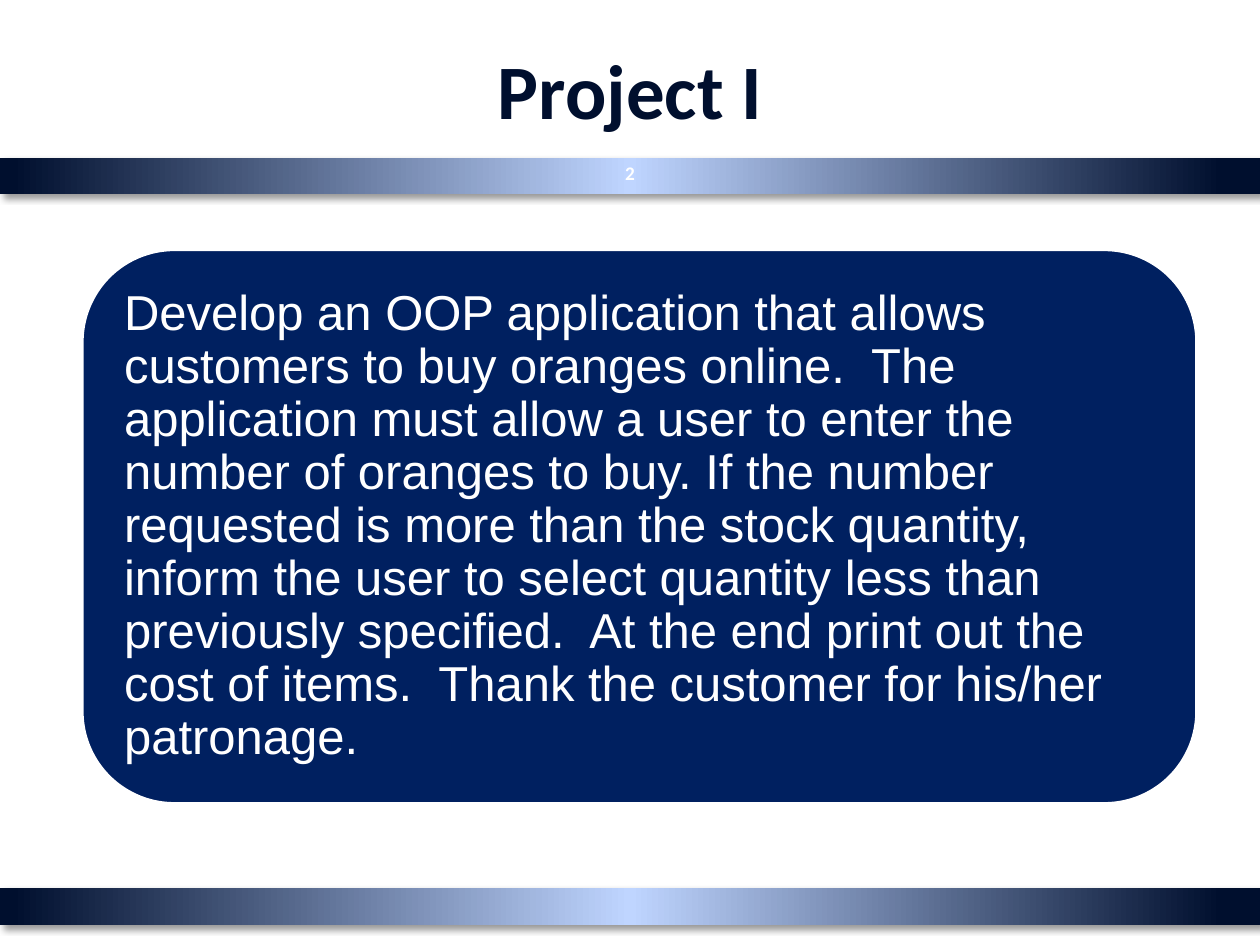
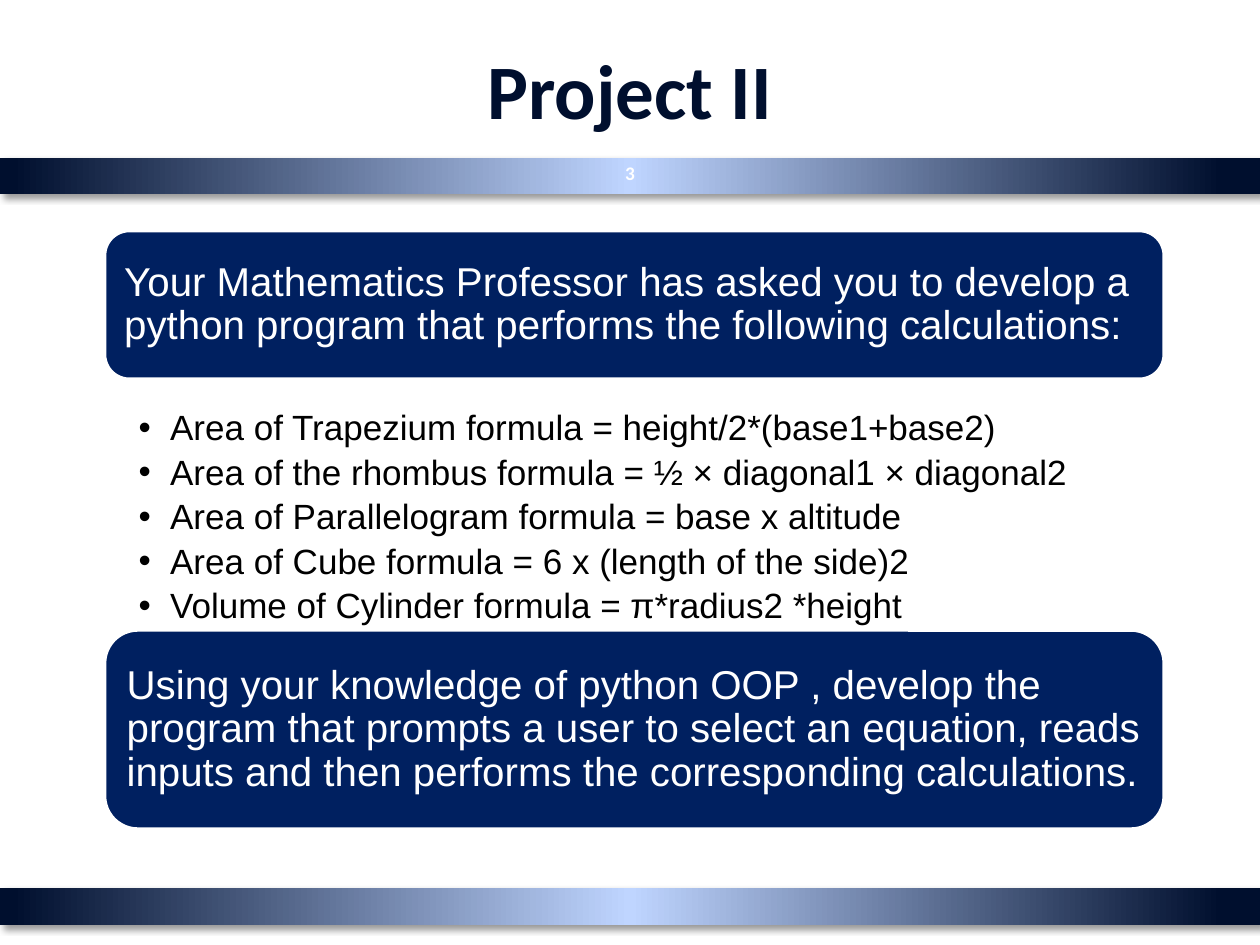
from lxml import etree
from pptx import Presentation
from pptx.dml.color import RGBColor
from pptx.enum.shapes import MSO_SHAPE
from pptx.enum.text import MSO_ANCHOR, PP_ALIGN
from pptx.oxml import parse_xml
from pptx.oxml.ns import qn
from pptx.util import Inches, Pt

RECT, ROUND = MSO_SHAPE.RECTANGLE, MSO_SHAPE.ROUNDED_RECTANGLE
TOP, MIDDLE = MSO_ANCHOR.TOP, MSO_ANCHOR.MIDDLE
LEFT, CENTER = PP_ALIGN.LEFT, PP_ALIGN.CENTER
NS = 'xmlns:a="http://schemas.openxmlformats.org/drawingml/2006/main"'

# Shared look
WIDE, HIGH = 10, 7.5
NAVY, BLUE, PALE, WHITE, BLACK = "000F2E", "002060", "BFD5FF", "FFFFFF", "000000"
HEAD, BODY = "Calibri", "Arial"
BANDS, BAND_H = (7.05, 1.25), 0.29
STOPS = ((0, NAVY), (3, NAVY), (50, PALE), (99, NAVY), (100, NAVY))

# Content: each part is kind, box, text size, inset, lines
SLIDES = [
    ("Project I", 2, [
        ("card", (0.65, 1.98, 8.85, 4.4), 28, 0.12, [
            "Develop an OOP application that allows customers to buy oranges "
            "online.  The application must allow a user to enter the number of "
            "oranges to buy. If the number requested is more than the stock "
            "quantity, inform the user to select quantity less than previously "
            "specified.  At the end print out the cost of items.  Thank the "
            "customer for his/her patronage."]),
    ]),
    ("Project II", 3, [
        ("card", (0.83, 1.83, 8.41, 1.18), 23, 0.1, [
            "Your Mathematics Professor has asked you to develop a python "
            "program that performs the following calculations:"]),
        ("list", (0.83, 3.23, 8.41, 1.77), 20, 0.03, [
            "Area of Trapezium formula = height/2*(base1+base2)",
            "Area of the rhombus formula = ½ × diagonal1 × diagonal2",
            "Area of Parallelogram formula = base x altitude",
            "Area of Cube formula = 6 x (length of the side)2",
            "Volume of Cylinder formula = π*radius2 *height"]),
        ("card", (0.83, 5, 8.41, 1.58), 23, 0.1, [
            "Using your knowledge of python OOP , develop the program that "
            "prompts a user to select an equation, reads inputs and then "
            "performs the corresponding calculations."]),
    ]),
]


def color(code):
    return RGBColor.from_string(code)


def inches(box):
    return [Inches(n) for n in box]


def write(shape, lines, size, font, ink, bold=False, align=LEFT,
          anchor=MIDDLE, inset=(0.1, 0.05, 0.1, 0.05), space=1, after=0):
    """Fill a shape with paragraphs in one style; after is a share of size."""
    frame = shape.text_frame
    frame.word_wrap = True
    frame.vertical_anchor = anchor
    (frame.margin_left, frame.margin_top,
     frame.margin_right, frame.margin_bottom) = inches(inset)
    frame.text = "\n".join(lines)
    for para in frame.paragraphs:
        para.alignment = align
        para.line_spacing = space
        para.space_after = Pt(after * size)
        for run in para.runs:
            run.font.size, run.font.name, run.font.bold = Pt(size), font, bold
            run.font.color.rgb = color(ink)


def add_band(slide, top):
    """Full-width gradient stripe with a soft shadow."""
    band = slide.shapes.add_shape(RECT, *inches((0, top, WIDE, BAND_H)))
    band.line.fill.background()
    stops = "".join(f'<a:gs pos="{pos * 1000}"><a:srgbClr val="{code}"/></a:gs>'
                    for pos, code in STOPS)
    fill = parse_xml(f'<a:gradFill {NS} rotWithShape="1"><a:gsLst>{stops}'
                     '</a:gsLst><a:lin ang="10800000" scaled="0"/></a:gradFill>')
    shade = parse_xml(f'<a:effectLst {NS}><a:outerShdw blurRad="{Pt(4)}" '
                      f'dist="{Pt(3)}" dir="2700000" algn="tl" rotWithShape="0">'
                      f'<a:srgbClr val="{BLACK}"><a:alpha val="40000"/></a:srgbClr>'
                      '</a:outerShdw></a:effectLst>')
    props = band.element.spPr
    props.find(qn("a:prstGeom")).addnext(fill)
    props.append(shade)


def add_card(slide, box, size, inset, lines):
    card = slide.shapes.add_shape(ROUND, *inches(box))
    card.shadow.inherit = False
    card.fill.solid()
    card.fill.fore_color.rgb = color(BLUE)
    card.line.color.rgb = color(WHITE)
    card.line.width = Pt(2)
    write(card, lines, size, BODY, WHITE, inset=(inset,) * 4,
          space=0.9, after=0.35)


def add_list(slide, box, size, inset, lines):
    area = slide.shapes.add_textbox(*inches(box))
    write(area, lines, size, BODY, BLACK, anchor=TOP,
          inset=(0.27, inset, 0.16, inset), space=0.9, after=0.19)
    for para in area.text_frame.paragraphs:
        props = para._p.get_or_add_pPr()
        props.set("marL", str(Inches(0.25)))
        props.set("indent", str(-Inches(0.25)))
        etree.SubElement(props, qn("a:buFont")).set("typeface", BODY)
        etree.SubElement(props, qn("a:buChar")).set("char", "•")


def add_page(deck, title, number):
    """Slide with the bands, title and page number."""
    slide = deck.slides.add_slide(deck.slide_layouts[5])
    for top in BANDS:
        add_band(slide, top)
    head = slide.shapes.title
    head.left, head.top, head.width, head.height = inches((0.5, 0.08, 9, 1.25))
    write(head, [title], 44, HEAD, NAVY, True, CENTER)
    mark = slide.shapes.add_textbox(*inches((WIDE / 2 - 0.21, 1.17, 0.42, 0.4)))
    write(mark, [str(number)], 11, HEAD, WHITE, True, CENTER)
    return slide


DRAW = {"card": add_card, "list": add_list}

deck = Presentation()
deck.slide_width, deck.slide_height = inches((WIDE, HIGH))
for title, number, parts in SLIDES:
    slide = add_page(deck, title, number)
    for kind, *part in parts:
        DRAW[kind](slide, *part)
deck.save("out.pptx")
